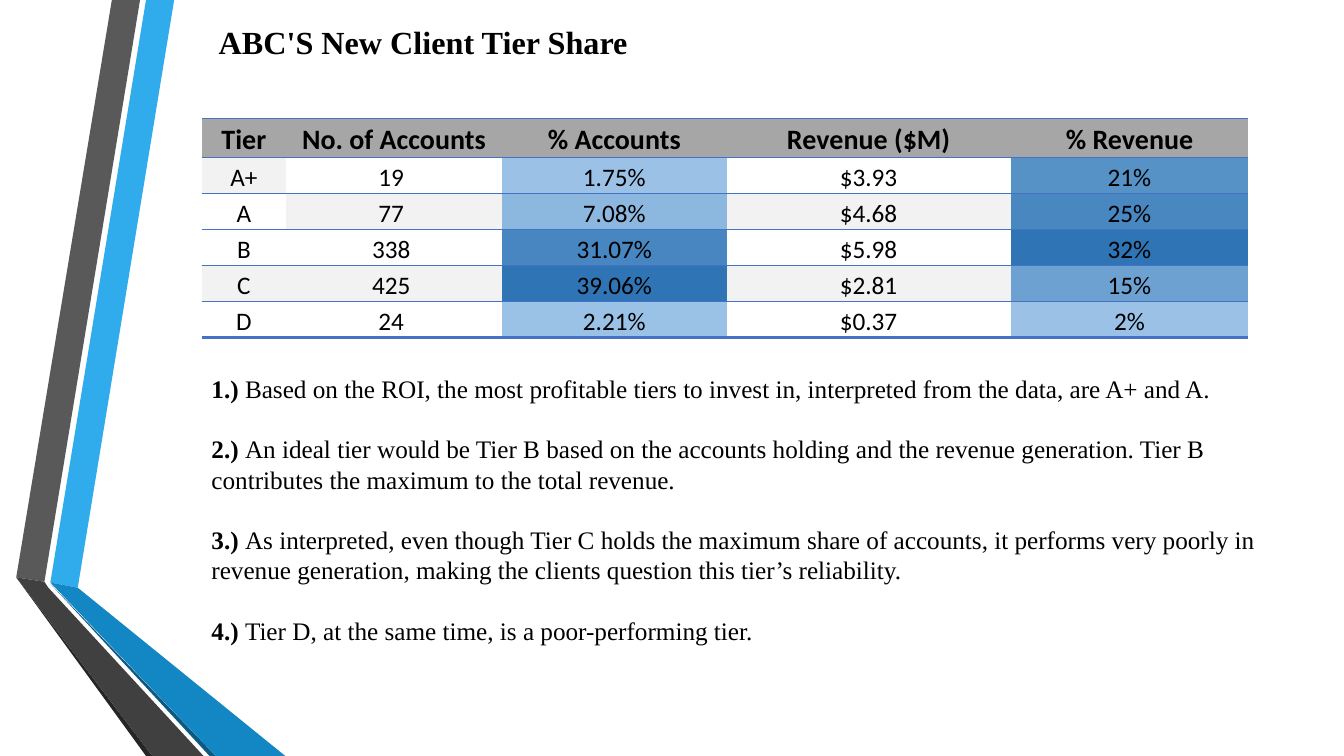
from lxml import etree
from pptx import Presentation
from pptx.dml.color import RGBColor
from pptx.enum.text import MSO_ANCHOR, PP_ALIGN
from pptx.oxml.ns import qn
from pptx.util import Cm, Pt

CENTER, LEFT = PP_ALIGN.CENTER, PP_ALIGN.LEFT
TOP, BOTTOM = MSO_ANCHOR.TOP, MSO_ANCHOR.BOTTOM

BLACK = RGBColor(0x00, 0x00, 0x00)
SKY = RGBColor(0x30, 0xAC, 0xEC)
BLUE = RGBColor(0x12, 0x87, 0xC3)
DEEP_BLUE = RGBColor(0x0C, 0x5A, 0x82)
GRAY = RGBColor(0x59, 0x59, 0x59)
DARK_GRAY = RGBColor(0x40, 0x40, 0x40)
CHARCOAL = RGBColor(0x26, 0x26, 0x26)
RULE = RGBColor(0x44, 0x72, 0xC4)
HEADER = RGBColor(0xA6, 0xA6, 0xA6)
BAND = RGBColor(0xF2, 0xF2, 0xF2)
HEAT_LOW = RGBColor(0x9B, 0xC2, 0xE6)
HEAT_D = RGBColor(0x9A, 0xC2, 0xE6)
HEAT_7 = RGBColor(0x8C, 0xB8, 0xE0)
HEAT_15 = RGBColor(0x6D, 0xA1, 0xD1)
HEAT_21 = RGBColor(0x57, 0x92, 0xC7)
HEAT_25 = RGBColor(0x49, 0x87, 0xC1)
HEAT_31 = RGBColor(0x47, 0x86, 0xC0)
HEAT_HIGH = RGBColor(0x2F, 0x75, 0xB5)

SERIF, SANS = "Times New Roman", "Calibri"
PLAIN_TABLE_STYLE = "{2D5ABB26-0587-4C30-8999-92F81FD0307C}"

# Corner points in centimetres from the top left of the ribbon area
RIBBON_FACETS = [
    (SKY, [(1.27, 14.68), (1.96, 14.81), (4.39, 0), (3.68, 0)]),
    (GRAY, [(3.53, 0), (2.82, 0), (0.41, 14.55), (1.12, 14.66)]),
    (CHARCOAL, [(0.41, 14.55), (3.68, 19.05), (3.84, 19.05)]),
    (DEEP_BLUE, [(1.27, 14.71), (5.28, 19.05), (5.44, 19.05)]),
    (BLUE, [(1.27, 14.68), (5.44, 19.05), (7.19, 19.05), (1.96, 14.81)]),
    (DARK_GRAY, [(5.13, 19.05), (1.22, 14.81), (1.12, 14.66),
                 (0.41, 14.55), (3.84, 19.05)]),
]

TITLE = "ABC'S New Client Tier Share"
COLUMN_WIDTHS = [2.13, 5.44, 5.66, 7.16, 5.99]
ROW_HEIGHTS = [1.52, 0.99, 0.99] + [0.91] * 5
HEADINGS = ["Tier", "No. of Accounts", "% Accounts", "Revenue ($M)", "% Revenue"]
TIERS = [
    (["A+", "19 ", "1.75%", "$3.93", "21%"], [BAND, None, HEAT_LOW, None, HEAT_21]),
    (["A", "77 ", "7.08%", "$4.68", "25%"], [None, BAND, HEAT_7, BAND, HEAT_25]),
    (["B", "338 ", "31.07%", "$5.98", "32%"], [None, None, HEAT_31, None, HEAT_HIGH]),
    (["C", "425 ", "39.06%", "$2.81", "15%"], [BAND, BAND, HEAT_HIGH, BAND, HEAT_15]),
    (["D", "24 ", "2.21%", "$0.37", "2%"], [None, None, HEAT_D, None, HEAT_LOW]),
]

FINDINGS = [
    "Based on the ROI, the most profitable tiers to invest in, interpreted from "
    "the data, are A+ and A.",
    "An ideal tier would be Tier B based on the accounts holding and the revenue "
    "generation. Tier B contributes the maximum to the total revenue.",
    "As interpreted, even though Tier C holds the maximum share of accounts, it "
    "performs very poorly in revenue generation, making the clients question "
    "this tier’s reliability.",
    "Tier D, at the same time, is a poor-performing tier.",
]


def add_span(para, text, font, size, bold=False):
    span = para.add_run()
    span.text = text
    span.font.name = font
    span.font.size = Pt(size)
    span.font.bold = bold
    span.font.color.rgb = BLACK


def add_ribbon(page, left, top):
    for color, corners in RIBBON_FACETS:
        points = [(left + Cm(x), top + Cm(y)) for x, y in corners]
        outline = page.shapes.build_freeform(*points[0])
        outline.add_line_segments(points[1:], close=True)
        facet = outline.convert_to_shape()
        facet.shadow.inherit = False
        facet.fill.solid()
        facet.fill.fore_color.rgb = color
        facet.line.fill.background()


def add_border(cell, side, width):
    """Draw a rule on one side of a cell: side is lnT or lnB."""
    line = etree.SubElement(cell._tc.get_or_add_tcPr(), qn("a:" + side), w=str(Pt(width)))
    fill = etree.SubElement(line, qn("a:solidFill"))
    etree.SubElement(fill, qn("a:srgbClr"), val=str(RULE))


def set_margins(cell, side, top, bottom):
    cell.margin_left = cell.margin_right = Cm(side)
    cell.margin_top, cell.margin_bottom = Cm(top), Cm(bottom)


def fill_cell(cell, text, size, bold, color):
    cell.vertical_anchor = BOTTOM
    if color is not None:
        cell.fill.solid()
        cell.fill.fore_color.rgb = color
    para = cell.text_frame.paragraphs[0]
    para.alignment = CENTER
    add_span(para, text, SANS, size, bold)


def add_tier_table(page, left, top, width, height):
    frame = page.shapes.add_table(len(ROW_HEIGHTS), len(COLUMN_WIDTHS),
                                  left, top, width, height)
    table = frame.table
    table.first_row = table.horz_banding = False
    table._tbl.tblPr.find(qn("a:tableStyleId")).text = PLAIN_TABLE_STYLE
    for column, column_width in zip(table.columns, COLUMN_WIDTHS):
        column.width = Cm(column_width)
    last = len(ROW_HEIGHTS) - 1
    for index, (row, row_height) in enumerate(zip(table.rows, ROW_HEIGHTS)):
        row.height = Cm(row_height)
        for cell in row.cells:
            set_margins(cell, 0.03, 0.03, 0)
            if index > 1:
                add_border(cell, "lnT", 0.5)
            if index > 0:
                add_border(cell, "lnB", 2 if index == last else 0.5)

    title = table.cell(0, 0)
    title.merge(table.cell(0, 2))
    set_margins(title, 0.43, 0.2, 0.2)
    add_span(title.text_frame.paragraphs[0], TITLE, SERIF, 23, bold=True)

    for column, heading in enumerate(HEADINGS):
        fill_cell(table.cell(2, column), heading, 20, True, HEADER)
    for row, (values, colors) in enumerate(TIERS, start=3):
        for column, (value, color) in enumerate(zip(values, colors)):
            fill_cell(table.cell(row, column), value, 18, False, color)


def add_findings(page, left, top, width, height):
    box = page.shapes.add_textbox(left, top, width, height)
    frame = box.text_frame
    frame.word_wrap = True
    frame.vertical_anchor = TOP
    for number, finding in enumerate(FINDINGS, start=1):
        para = frame.paragraphs[0] if number == 1 else frame.add_paragraph()
        para.alignment = LEFT
        para.line_spacing = Pt(21.6)
        para.space_before = Pt(0 if number == 1 else 21.6)
        add_span(para, f"{number}.) ", SERIF, 18, bold=True)
        add_span(para, finding, SERIF, 18)


def main():
    deck = Presentation()
    deck.slide_width, deck.slide_height = Cm(33.87), Cm(19.05)
    page = deck.slides.add_slide(deck.slide_layouts[6])
    add_ribbon(page, Cm(0), Cm(0))
    add_findings(page, Cm(5.08), Cm(9.28), Cm(27.46), Cm(8))
    add_tier_table(page, Cm(5.08), Cm(0.46), Cm(sum(COLUMN_WIDTHS)), Cm(sum(ROW_HEIGHTS)))
    deck.save("out.pptx")


if __name__ == "__main__":
    main()
